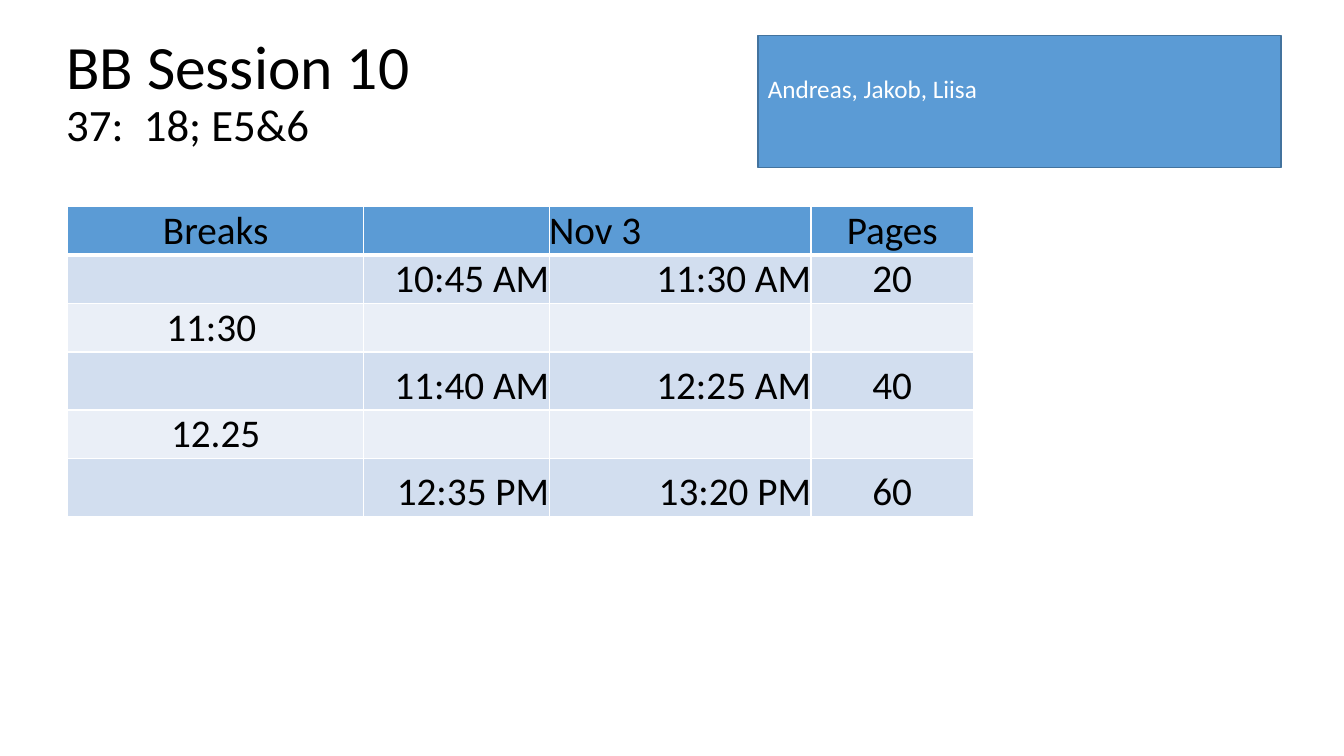
from lxml import etree
from pptx import Presentation
from pptx.dml.color import RGBColor
from pptx.enum.shapes import MSO_SHAPE
from pptx.enum.text import MSO_ANCHOR as ANCHOR, PP_ALIGN as ALIGN
from pptx.oxml.ns import qn
from pptx.util import Cm, Pt

BLUE, WHITE, BLACK = "5B9BD5", "FFFFFF", "000000"
BANDS = ("D2DEEF", "EAEFF7")
COL_WIDTHS = (7.47, 4.67, 6.6, 4.09)
ROW_HEIGHTS = (1.22, 1.22, 1.22, 1.46, 1.22, 1.46)
COL_ALIGNS = (ALIGN.CENTER, ALIGN.RIGHT, ALIGN.RIGHT, ALIGN.CENTER)
SCHEDULE = (
    ("Breaks", "", "Nov 3", "Pages"),
    ("", "10:45 AM", "11:30 AM", "20"),
    ("11:30 ", "", "", ""),
    ("", "11:40 AM", "12:25 AM", "40"),
    ("12.25", "", "", ""),
    ("", "12:35 PM", "13:20 PM", "60"),
)


def rgb(value):
    return RGBColor.from_string(value)


def add_run(p, text, size, color):
    r = p.add_run()
    r.text = text
    r.font.name = "Calibri"
    r.font.size = Pt(size)
    r.font.bold = False
    r.font.color.rgb = rgb(color)


def add_border(cell, side, width):
    tcPr = cell._tc.get_or_add_tcPr()
    ln = etree.SubElement(tcPr, qn(f"a:ln{side}"), w=str(Pt(width)))
    fill = etree.SubElement(ln, qn("a:solidFill"))
    etree.SubElement(fill, qn("a:srgbClr"), val=WHITE)


def add_title(slide, left, top, width, height):
    tf = slide.shapes.add_textbox(Cm(left), Cm(top), Cm(width), Cm(height)).text_frame
    tf.word_wrap = True
    tf.vertical_anchor = ANCHOR.MIDDLE
    p = tf.paragraphs[0]
    p.line_spacing = 0.9
    add_run(p, "BB Session 10", 44, BLACK)
    p.add_line_break()
    add_run(p, "37:  18; E5&6", 32, BLACK)


def add_names(slide, left, top, width, height):
    sp = slide.shapes.add_shape(
        MSO_SHAPE.RECTANGLE, Cm(left), Cm(top), Cm(width), Cm(height))
    sp.shadow.inherit = False
    sp.fill.solid()
    sp.fill.fore_color.rgb = rgb(BLUE)
    sp.line.color.rgb = rgb("43739E")
    sp.line.width = Pt(1)
    tf = sp.text_frame
    tf.word_wrap = True
    tf.vertical_anchor = ANCHOR.MIDDLE
    tf.margin_bottom = Cm(0.8)
    p = tf.paragraphs[0]
    p.alignment = ALIGN.LEFT
    add_run(p, "Andreas, Jakob, Liisa", 18, WHITE)


def fill_cell(cell, row, col, text):
    for side in "LRTB":
        heavy = (row, side) in ((0, "B"), (1, "T"))
        add_border(cell, side, 3 if heavy else 1)
    cell.fill.solid()
    cell.fill.fore_color.rgb = rgb(BANDS[(row - 1) % 2] if row else BLUE)
    cell.margin_left = cell.margin_right = cell.margin_top = cell.margin_bottom = 0
    cell.vertical_anchor = ANCHOR.BOTTOM
    if text:
        p = cell.text_frame.paragraphs[0]
        p.alignment = ALIGN.LEFT if text == "Nov 3" else COL_ALIGNS[col]
        add_run(p, text, 28, BLACK)


def add_schedule(slide, left, top):
    table = slide.shapes.add_table(
        len(ROW_HEIGHTS), len(COL_WIDTHS), Cm(left), Cm(top),
        Cm(sum(COL_WIDTHS)), Cm(sum(ROW_HEIGHTS))).table
    table.first_row = table.horz_banding = False
    for column, width in zip(table.columns, COL_WIDTHS):
        column.width = Cm(width)
    for row, (height, texts) in enumerate(zip(ROW_HEIGHTS, SCHEDULE)):
        table.rows[row].height = Cm(height)
        for col, text in enumerate(texts):
            fill_cell(table.cell(row, col), row, col, text)


def main():
    prs = Presentation()
    prs.slide_width, prs.slide_height = Cm(33.87), Cm(19.05)
    slide = prs.slides.add_slide(prs.slide_layouts[6])
    add_title(slide, 1.42, 0.53, 29.21, 3.68)
    add_schedule(slide, 1.7, 5.21)
    add_names(slide, 19.1, 0.89, 13.18, 3.33)
    prs.save("out.pptx")


if __name__ == "__main__":
    main()
